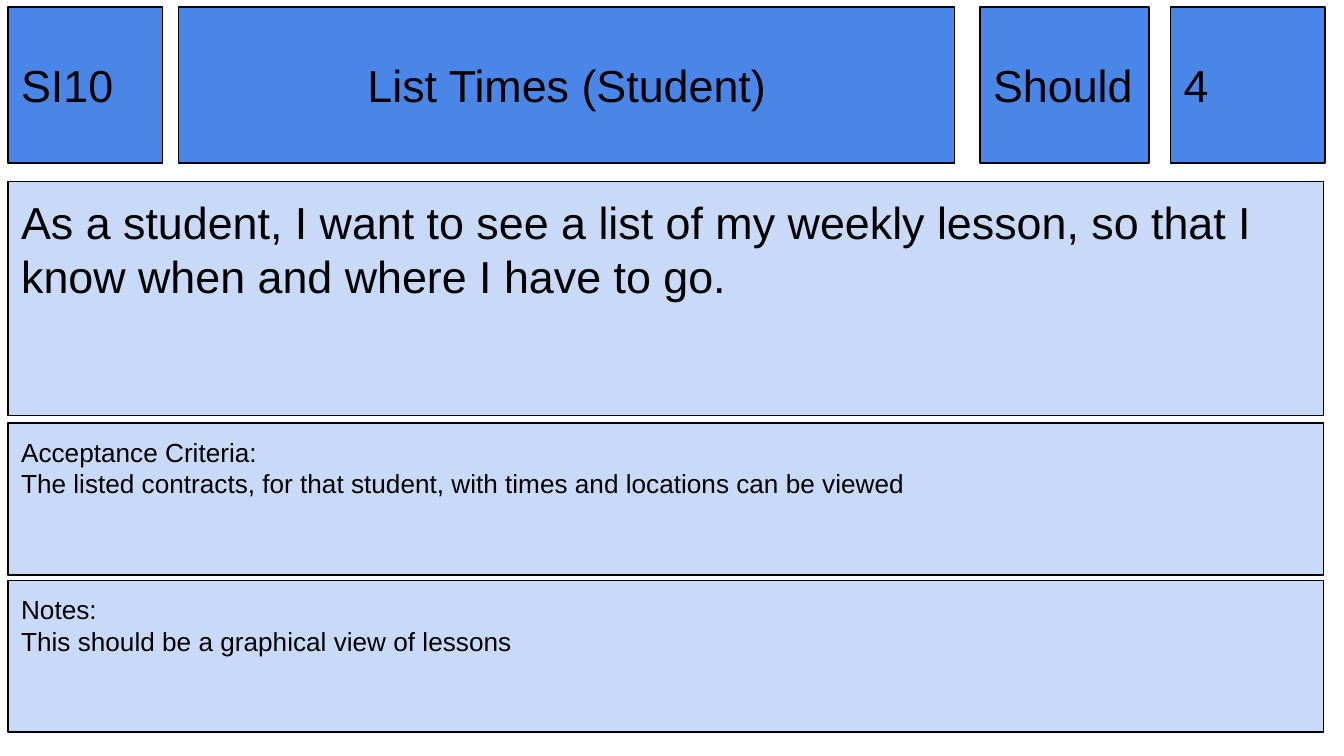
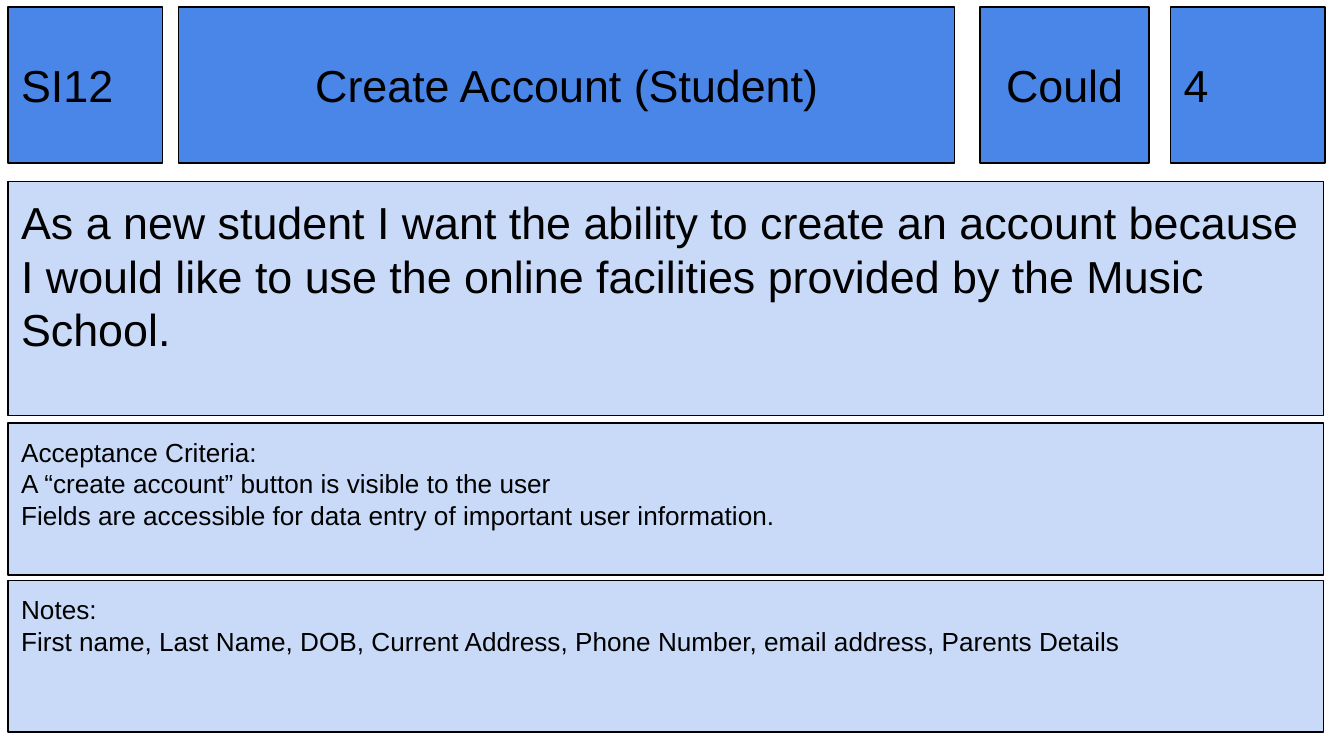
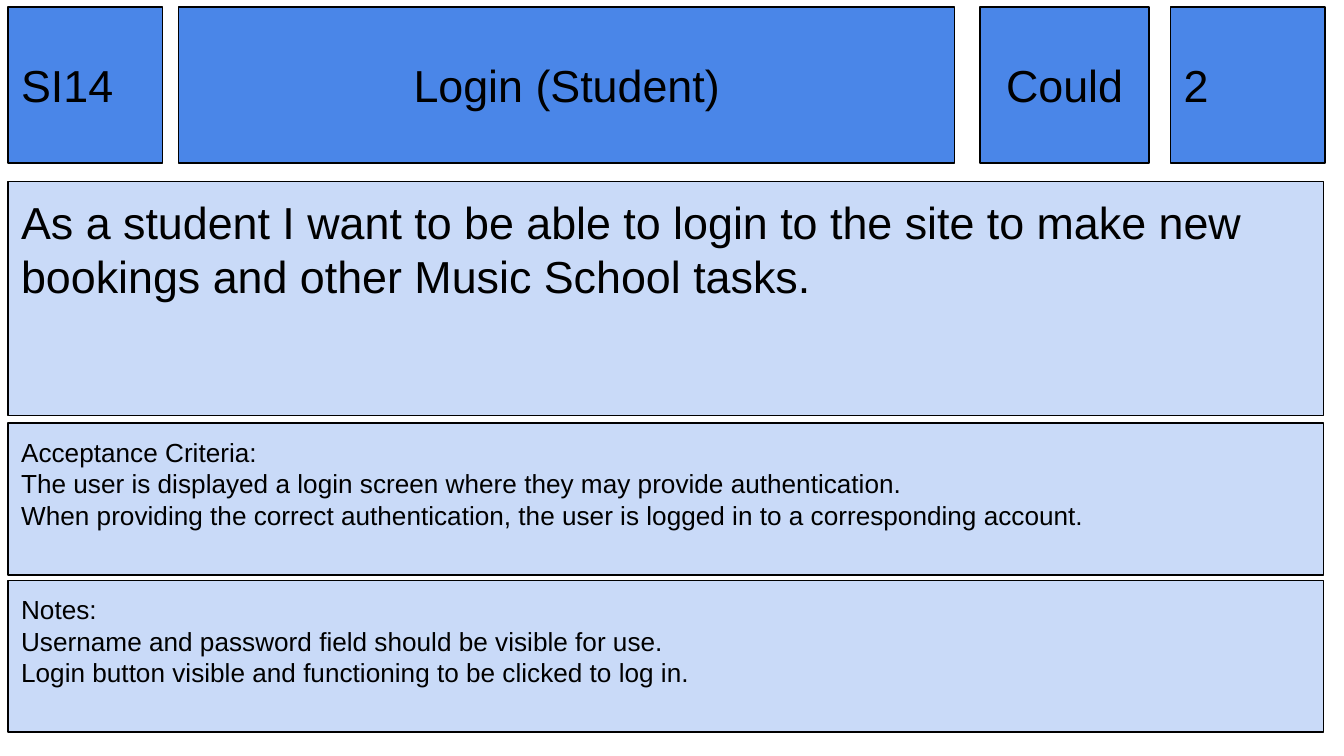
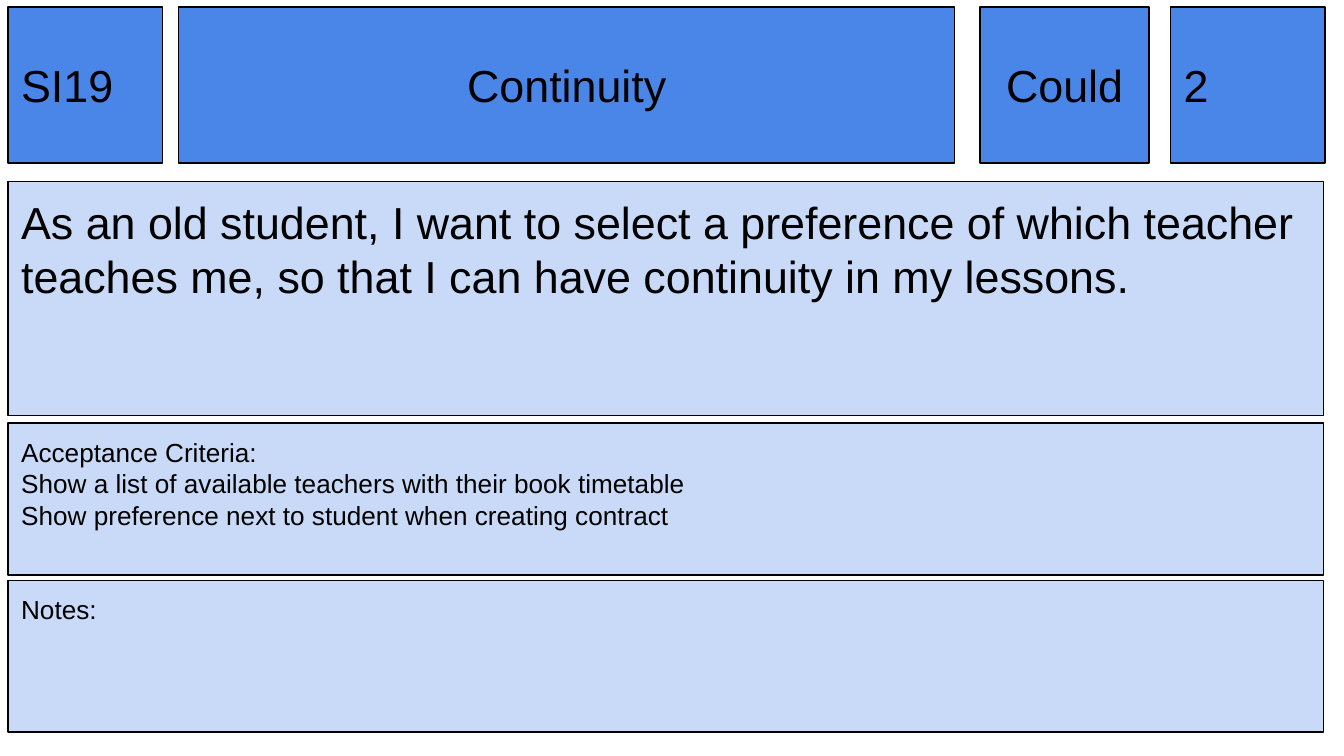
from dataclasses import dataclass

from pptx import Presentation
from pptx.dml.color import RGBColor
from pptx.enum.shapes import MSO_SHAPE
from pptx.enum.text import MSO_ANCHOR as Anchor, PP_ALIGN as Align
from pptx.slide import Slide
from pptx.text.text import TextFrame
from pptx.util import Cm, Pt

HEADER_BLUE = "4A86E8"
PANEL_BLUE = "C9DAF8"
BLACK = "000000"
FONT = "Arial"
INSET = Cm(0.25)


@dataclass(frozen=True)
class Field:
    """Place and look of one field on every story card."""
    left: float
    top: float
    width: float
    height: float
    fill: str
    anchor: Anchor
    size: int = 24
    align: Align = Align.LEFT


@dataclass(frozen=True)
class Story:
    """Content of one story card."""
    code: str
    title: str
    priority: str
    points: str
    goal: str
    criteria: tuple[str, ...]
    notes: tuple[str, ...] = ()
    priority_align: Align = Align.CENTER


def header(left: float, width: float, align: Align = Align.LEFT) -> Field:
    """Return a field of the top row."""
    return Field(left, 0.13, width, 2.95, HEADER_BLUE, Anchor.MIDDLE, align=align)


def panel(top: float, height: float, size: int) -> Field:
    """Return a full-width field below the top row."""
    return Field(0.15, top, 24.87, height, PANEL_BLUE, Anchor.TOP, size)


CODE = header(0.15, 2.92)
TITLE = header(3.38, 14.66, Align.CENTER)
POINTS = header(22.12, 2.92)
GOAL = panel(3.43, 4.42, 24)
CRITERIA = panel(8, 2.87, 14)
NOTES = panel(10.97, 2.87, 14)

STORIES = (
    Story(
        "SI10", "List Times (Student)", "Should", "4",
        "As a student, I want to see a list of my weekly lesson, "
        "so that I know when and where I have to go.",
        ("The listed contracts, for that student, with times and locations can be viewed",),
        ("This should be a graphical view of lessons",),
        priority_align=Align.LEFT,
    ),
    Story(
        "SI12", "Create Account (Student)", "Could", "4",
        "As a new student I want the ability to create an account because "
        "I would like to use the online facilities provided by the Music School.",
        ("A “create account” button is visible to the user",
         "Fields are accessible for data entry of important user information."),
        ("First name, Last Name, DOB, Current Address, Phone Number, "
         "email address, Parents Details",),
    ),
    Story(
        "SI14", "Login (Student)", "Could", "2",
        "As a student I want to be able to login to the site "
        "to make new bookings and other Music School tasks.",
        ("The user is displayed a login screen where they may provide authentication.",
         "When providing the correct authentication, "
         "the user is logged in to a corresponding account."),
        ("Username and password field should be visible for use.",
         "Login button visible and functioning to be clicked to log in."),
    ),
    Story(
        "SI19", "Continuity", "Could", "2",
        "As an old student, I want to select a preference of which teacher "
        "teaches me, so that I can have continuity in my lessons.",
        ("Show a list of available teachers with their book timetable",
         "Show preference next to student when creating contract"),
    ),
)


def color(value: str) -> RGBColor:
    """Turn a hex string into a colour."""
    return RGBColor.from_string(value)


def write(frame: TextFrame, *lines: str, size: int, align: Align, anchor: Anchor) -> None:
    """Write one paragraph per line in the given format."""
    frame.word_wrap = True
    frame.vertical_anchor = anchor
    frame.margin_left = frame.margin_right = INSET
    frame.margin_top = frame.margin_bottom = INSET
    frame.text = "\n".join(lines)
    for paragraph in frame.paragraphs:
        paragraph.alignment = align
        for run in paragraph.runs:
            run.font.name = FONT
            run.font.size = Pt(size)
            run.font.color.rgb = color(BLACK)


def draw_field(slide: Slide, field: Field, *lines: str) -> None:
    """Draw one bordered field with its text."""
    box = slide.shapes.add_shape(
        MSO_SHAPE.RECTANGLE,
        Cm(field.left), Cm(field.top), Cm(field.width), Cm(field.height),
    )
    box.shadow.inherit = False
    box.fill.solid()
    box.fill.fore_color.rgb = color(field.fill)
    box.line.color.rgb = color(BLACK)
    box.line.width = Pt(0.75)
    write(box.text_frame, *lines, size=field.size, align=field.align, anchor=field.anchor)


def draw_story(slide: Slide, story: Story) -> None:
    """Draw a whole story card."""
    draw_field(slide, CODE, story.code)
    draw_field(slide, TITLE, story.title)
    draw_field(slide, header(18.52, 3.2, story.priority_align), story.priority)
    draw_field(slide, POINTS, story.points)
    draw_field(slide, GOAL, story.goal)
    draw_field(slide, CRITERIA, "Acceptance Criteria:", *story.criteria)
    draw_field(slide, NOTES, "Notes:", *story.notes)


def main() -> None:
    """Build the deck of story cards."""
    deck = Presentation()
    deck.slide_width = Cm(25.4)
    deck.slide_height = Cm(14.29)
    blank = deck.slide_layouts[6]
    for story in STORIES:
        draw_story(deck.slides.add_slide(blank), story)
    deck.save("out.pptx")


if __name__ == "__main__":
    main()
